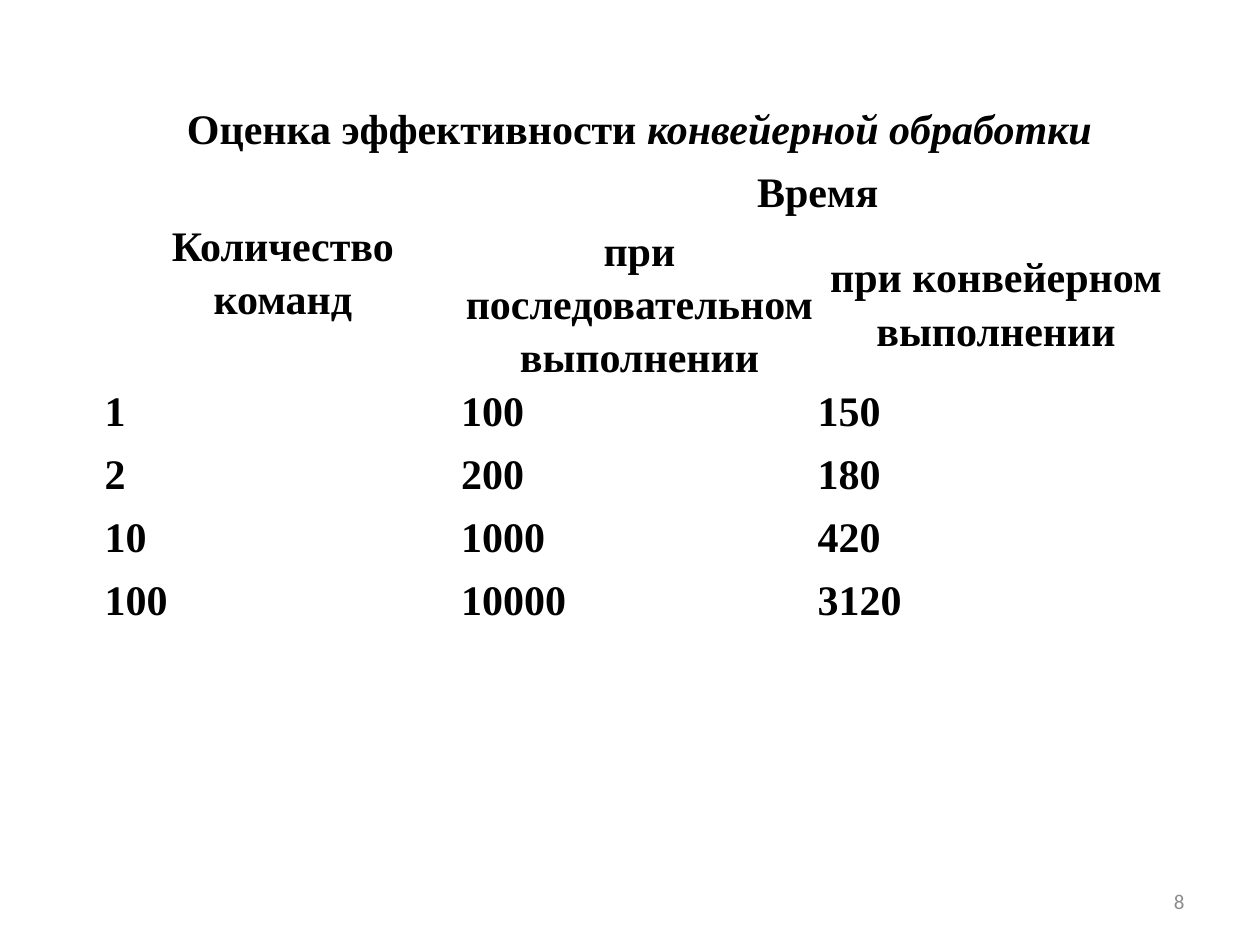
"""Build a slide with a table that compares sequential and pipelined execution times."""
from dataclasses import dataclass

from pptx import Presentation
from pptx import util as u
from pptx.dml.color import RGBColor
from pptx.enum import text

BLACK = RGBColor(0x00, 0x00, 0x00)
WHITE = RGBColor(0xFF, 0xFF, 0xFF)
GREY = RGBColor(0x8C, 0x8C, 0x8C)
COLUMN_WIDTH = u.Inches(2.83)
ROW_HEIGHTS = [0.5, 0.5, 0.66, 0.5, 0.5, 0.5, 0.5]
TIMINGS = [(1, 100, 150), (2, 200, 180), (10, 1000, 420), (100, 10000, 3120)]


@dataclass(frozen=True)
class Heading:
    row: int
    column: int
    wording: str
    emphasis: str = ""
    rows: int = 1
    columns: int = 1


HEADINGS = [
    Heading(0, 0, "Оценка эффективности ", "конвейерной обработки", columns=3),
    Heading(1, 0, "Количество команд", rows=2),
    Heading(1, 1, "Время", columns=2),
    Heading(2, 1, "при последовательном выполнении"),
    Heading(2, 2, "при конвейерном выполнении"),
]


def style_font(font, name: str, size: int, color: RGBColor, bold: bool = False) -> None:
    font.name, font.size, font.bold = name, u.Pt(size), bold
    font.color.rgb = color


def write_cell(cell, wording: str, emphasis: str = "", heading: bool = False) -> None:
    paragraph = cell.text_frame.paragraphs[0]
    paragraph.line_spacing = 1.15
    style_font(paragraph.font, "Times New Roman", 24, BLACK, bold=True)
    paragraph.add_run().text = wording
    if emphasis:
        stressed = paragraph.add_run()
        stressed.text = emphasis
        stressed.font.italic = True
    if heading:
        paragraph.alignment = text.PP_ALIGN.CENTER
        cell.vertical_anchor = text.MSO_ANCHOR.MIDDLE


def add_timing_table(slide) -> None:
    frame = slide.shapes.add_table(
        len(ROW_HEIGHTS), 3, u.Inches(0.83), u.Inches(0.76), u.Inches(8.5), u.Inches(4.34))
    table = frame.table
    table.first_row = table.horz_banding = False
    for column in table.columns:
        column.width = COLUMN_WIDTH
    for row, height in zip(table.rows, ROW_HEIGHTS):
        row.height = u.Inches(height)
    frame.height = u.Inches(4.34)
    for cell in table.iter_cells():
        cell.fill.solid()
        cell.fill.fore_color.rgb = WHITE
        cell.margin_left = cell.margin_right = cell.margin_top = cell.margin_bottom = 0
    for item in HEADINGS:
        cell = table.cell(item.row, item.column)
        if item.rows > 1 or item.columns > 1:
            cell.merge(table.cell(item.row + item.rows - 1, item.column + item.columns - 1))
        write_cell(cell, item.wording, item.emphasis, heading=True)
    for row, timing in enumerate(TIMINGS, start=3):
        for column, value in enumerate(timing):
            write_cell(table.cell(row, column), str(value))


def add_page_number(slide, number: int) -> None:
    box = slide.shapes.add_textbox(u.Inches(7.17), u.Inches(6.95), u.Inches(2.33), u.Inches(0.4))
    box.text_frame.word_wrap = True
    box.text_frame.vertical_anchor = text.MSO_ANCHOR.MIDDLE
    paragraph = box.text_frame.paragraphs[0]
    paragraph.text = str(number)
    paragraph.alignment = text.PP_ALIGN.RIGHT
    style_font(paragraph.font, "Calibri", 12, GREY)


def main() -> None:
    presentation = Presentation()
    presentation.slide_width, presentation.slide_height = u.Inches(10), u.Inches(7.5)
    slide = presentation.slides.add_slide(presentation.slide_layouts[6])
    add_timing_table(slide)
    add_page_number(slide, 8)
    presentation.save("out.pptx")


if __name__ == "__main__":
    main()
